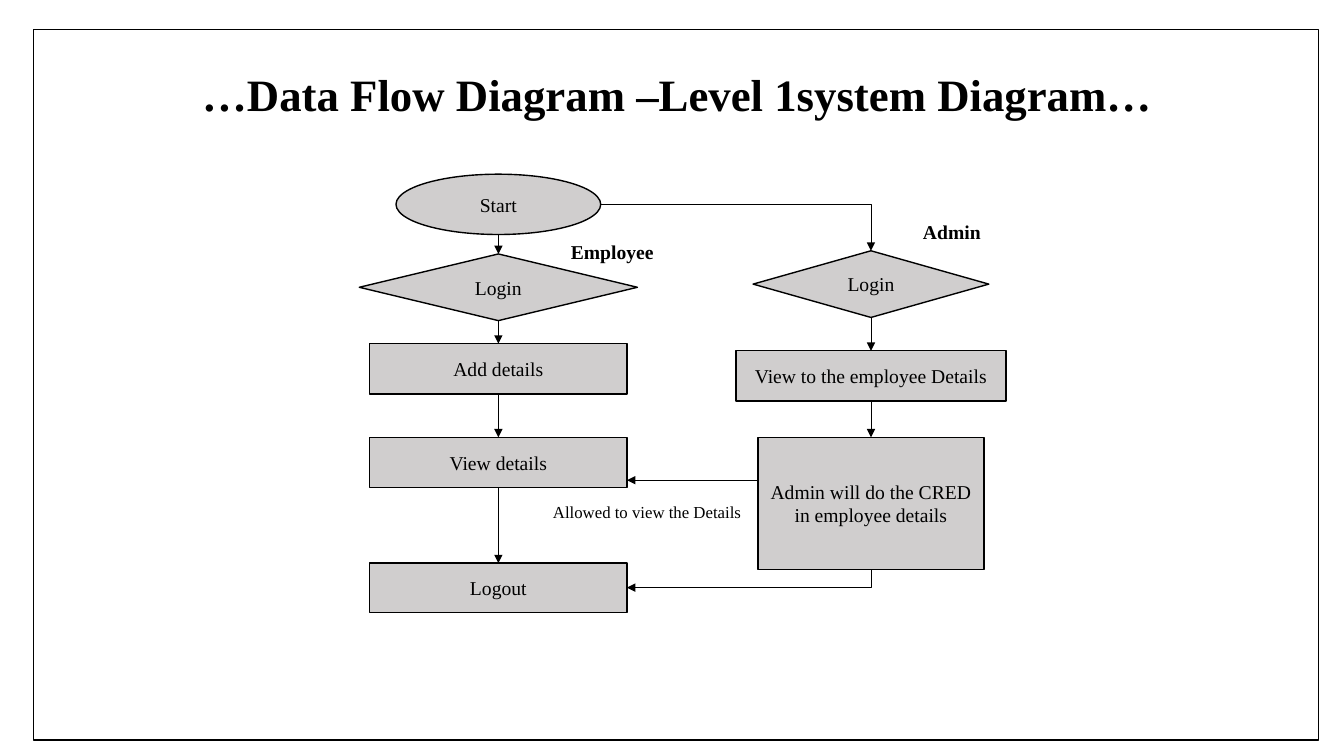
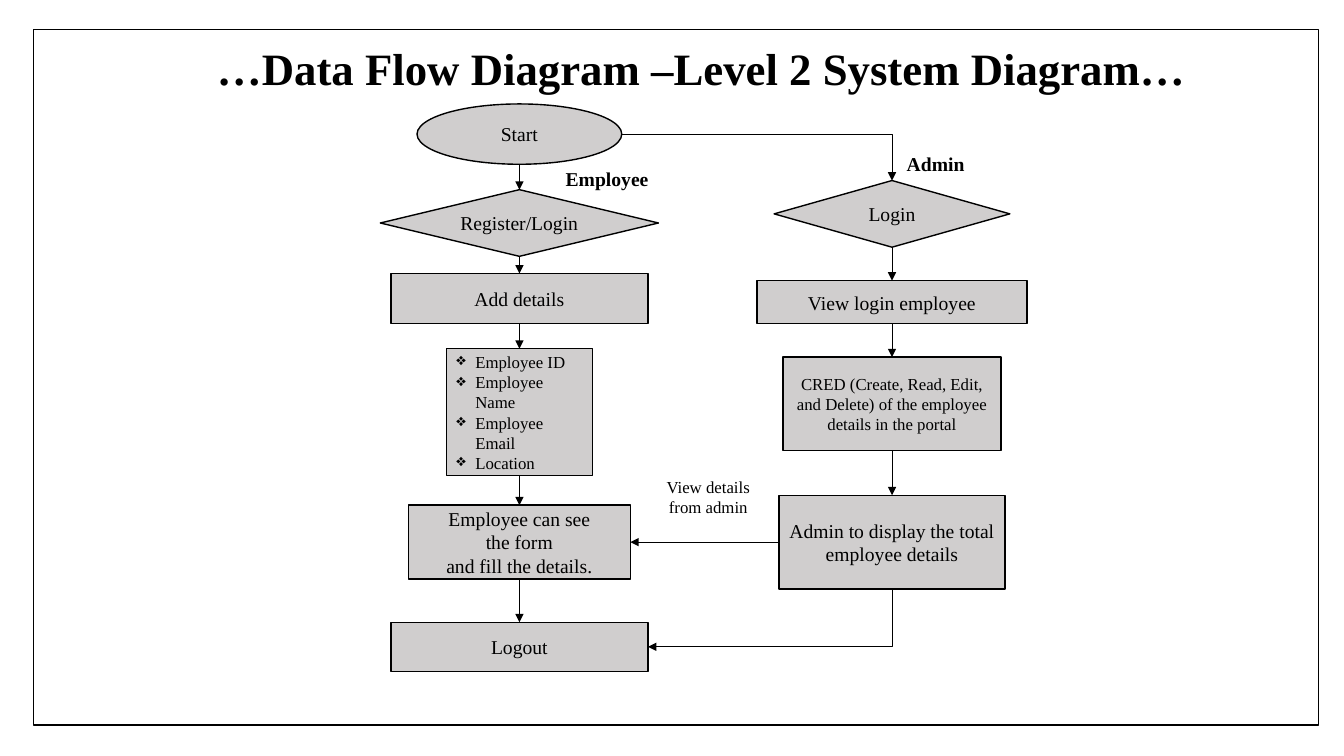
from lxml import etree
from pptx import Presentation
from pptx.dml.color import RGBColor
from pptx.enum.shapes import MSO_CONNECTOR, MSO_SHAPE
from pptx.enum.text import MSO_ANCHOR, MSO_AUTO_SIZE, PP_ALIGN
from pptx.oxml.ns import qn
from pptx.util import Cm, Pt

RECT, OVAL, GATE = MSO_SHAPE.RECTANGLE, MSO_SHAPE.OVAL, MSO_SHAPE.FLOWCHART_DECISION
LINE, ELBOW = MSO_CONNECTOR.STRAIGHT, MSO_CONNECTOR.ELBOW
TOP, MIDDLE = MSO_ANCHOR.TOP, MSO_ANCHOR.MIDDLE
LEFT, CENTER = PP_ALIGN.LEFT, PP_ALIGN.CENTER
FIXED = MSO_AUTO_SIZE.NONE
NORTH, WEST, SOUTH, EAST = range(4)

COLORS = {"ink": "000000", "node": "D0CECE"}
FONT = "Times New Roman"
GAP = 9.39

LEVELS = [
    {
        "title": "…Data Flow Diagram –Level 1system Diagram…",
        "head": (3.07, 1.55),
        "frame": 17.91,
        "origin": (12.56, 4.39),
        "staff": [
            (OVAL, "Start", 0, 5.16, 1.52, {}),
            (GATE, "Login", 2.01, 7.01, 1.68, {}),
            (RECT, "Add details", 4.27, 6.48, 1.27, {}),
            (RECT, "View details", 6.63, 6.48, 1.27, {}),
            (RECT, "Logout", 9.8, 6.48, 1.24, {}),
        ],
        "admin": [
            (GATE, "Login", 1.93, 5.94, 1.68, {}),
            (RECT, "View to the employee Details", 4.45, 6.81, 1.27, {}),
            (RECT, "Admin will do the CRED in employee details", 6.63, 5.69, 3.33, {}),
        ],
        "labels": [
            ("Admin", 9.84, 1.02, 3.18, 0.88, {"bold": True}),
            ("Employee", 1.28, 1.52, 3.18, 0.88, {"bold": True}),
            ("Allowed to view the Details", 0.98, 8.13, 5.54, 0.76, {"size": 12}),
        ],
        "cross": 7.71,
    },
    {
        "title": "…Data Flow Diagram –Level 2 System Diagram…",
        "head": (3.68, 0.91),
        "frame": 17.53,
        "origin": (13.09, 2.62),
        "staff": [
            (OVAL, "Start", 0, 5.16, 1.52, {}),
            (GATE, "Register/Login", 2.16, 7.01, 1.68, {}),
            (RECT, "Add details", 4.27, 6.48, 1.27, {}),
            (RECT, "Employee ID\nEmployee Name\nEmployee Email\nLocation",
             6.17, 3.68, 3.2, {"size": 12, "align": LEFT, "bullet": "❖"}),
            (RECT, "Employee can see\nthe form\nand fill the details.",
             10.11, 5.59, 1.86, {}),
            (RECT, "Logout", 13.06, 6.48, 1.24, {}),
        ],
        "admin": [
            (GATE, "Login", 1.93, 5.94, 1.68, {}),
            (RECT, "View login employee", 4.45, 6.81, 1.09, {}),
            (RECT, "CRED (Create, Read, Edit, and Delete) of the employee "
                   "details in the portal", 6.38, 5.49, 2.36, {"size": 12}),
            (RECT, "Admin to display the total employee details",
             9.86, 5.69, 2.36, {}),
        ],
        "labels": [
            ("Admin", 8.9, 1.09, 3.18, 0.88, {"bold": True}),
            ("Employee", 0.62, 1.45, 3.18, 0.88, {"bold": True}),
            ("View details from admin", 3.21, 9.27, 3.1, 1.27, {"size": 12}),
        ],
        "cross": None,
    },
]


def paint(name):
    """Return the named colour."""
    return RGBColor.from_string(COLORS[name])


def put(frame, text, size=14, bold=False, align=CENTER, anchor=TOP, bullet=None):
    """Write text into a frame, one paragraph a line."""
    frame.word_wrap = True
    frame.auto_size = FIXED
    frame.vertical_anchor = anchor
    frame.text = text
    for para in frame.paragraphs:
        para.alignment = align
        for run in para.runs:
            font = run.font
            font.name, font.size, font.bold = FONT, Pt(size), bold
            font.color.rgb = paint("ink")
        if bullet:
            props = para._p.get_or_add_pPr()
            props.set("marL", str(Cm(0.48)))
            props.set("indent", str(-Cm(0.48)))
            etree.SubElement(props, qn("a:buChar")).set("char", bullet)


def block(slide, kind, left, top, width, height, fill=None):
    """Add an outlined shape, filled if a colour is named."""
    shape = slide.shapes.add_shape(kind, Cm(left), Cm(top), Cm(width), Cm(height))
    shape.shadow.inherit = False
    shape.line.color.rgb = paint("ink")
    shape.line.width = Pt(1)
    if fill:
        shape.fill.solid()
        shape.fill.fore_color.rgb = paint(fill)
    else:
        shape.fill.background()
    return shape


def arrow(slide, kind=LINE, ends=(0, 0, 0, 0), tip="tailEnd"):
    """Add a thin connector with a triangle at one end."""
    link = slide.shapes.add_connector(kind, *ends)
    link.line.color.rgb = paint("ink")
    link.line.width = Pt(0.5)
    pen = link.element.xpath(".//a:ln")[0]
    etree.SubElement(pen, qn(f"a:{tip}")).set("type", "triangle")
    etree.SubElement(link.element.spPr, qn("a:effectLst"))
    if kind == ELBOW:
        link.element.xpath(".//a:prstGeom")[0].set("prst", "bentConnector2")
    return link


def join(slide, first, out, last, into, **style):
    """Join the sides of two shapes with an arrow."""
    link = arrow(slide, **style)
    link.begin_connect(first, out)
    link.end_connect(last, into)
    if first.auto_shape_type == OVAL:
        link.element.xpath(".//a:stCxn")[0].set("idx", str(out * 2))


def lane(slide, mid, top, steps):
    """Stack steps around a middle line and chain them downwards."""
    nodes = []
    for kind, text, down, width, height, style in steps:
        node = block(slide, kind, mid - width / 2, top + down, width, height, "node")
        put(node.text_frame, text, anchor=MIDDLE, **style)
        nodes.append(node)
    for upper, lower in zip(nodes, nodes[1:]):
        join(slide, upper, SOUTH, lower, NORTH)
    return nodes


def notes(slide, mid, top, labels):
    """Place the loose labels relative to the first lane."""
    for text, right, down, width, height, style in labels:
        area = slide.shapes.add_textbox(
            Cm(mid + right), Cm(top + down), Cm(width), Cm(height))
        put(area.text_frame, text, **style)


def header(slide, text, left, top, height):
    """Set the title and the page frame."""
    title = slide.shapes.title
    title.left, title.top = Cm(left), Cm(top)
    title.width, title.height = Cm(28), Cm(1.63)
    put(title.text_frame, text, size=32, bold=True)
    block(slide, RECT, 0.84, 0.74, 32.39, height)


def chart(slide, level):
    """Build one level of the data flow diagram."""
    header(slide, level["title"], *level["head"], level["frame"])
    mid, top = level["origin"]
    notes(slide, mid, top, level["labels"])
    staff = lane(slide, mid, top, level["staff"])
    admin = lane(slide, mid + GAP, top, level["admin"])
    join(slide, staff[0], EAST, admin[0], NORTH, kind=ELBOW)
    join(slide, staff[-1], EAST, admin[-1], SOUTH, kind=ELBOW, tip="headEnd")
    view, source = staff[-2], admin[-1]
    if level["cross"]:
        row = Cm(top + level["cross"])
        arrow(slide, ends=(source.left, row, view.left + view.width, row))
    else:
        join(slide, source, WEST, view, EAST)


def main():
    """Build and save the deck."""
    deck = Presentation()
    deck.slide_width, deck.slide_height = Cm(33.87), Cm(19.05)
    for level in LEVELS:
        chart(deck.slides.add_slide(deck.slide_layouts[5]), level)
    deck.save("out.pptx")


if __name__ == "__main__":
    main()
